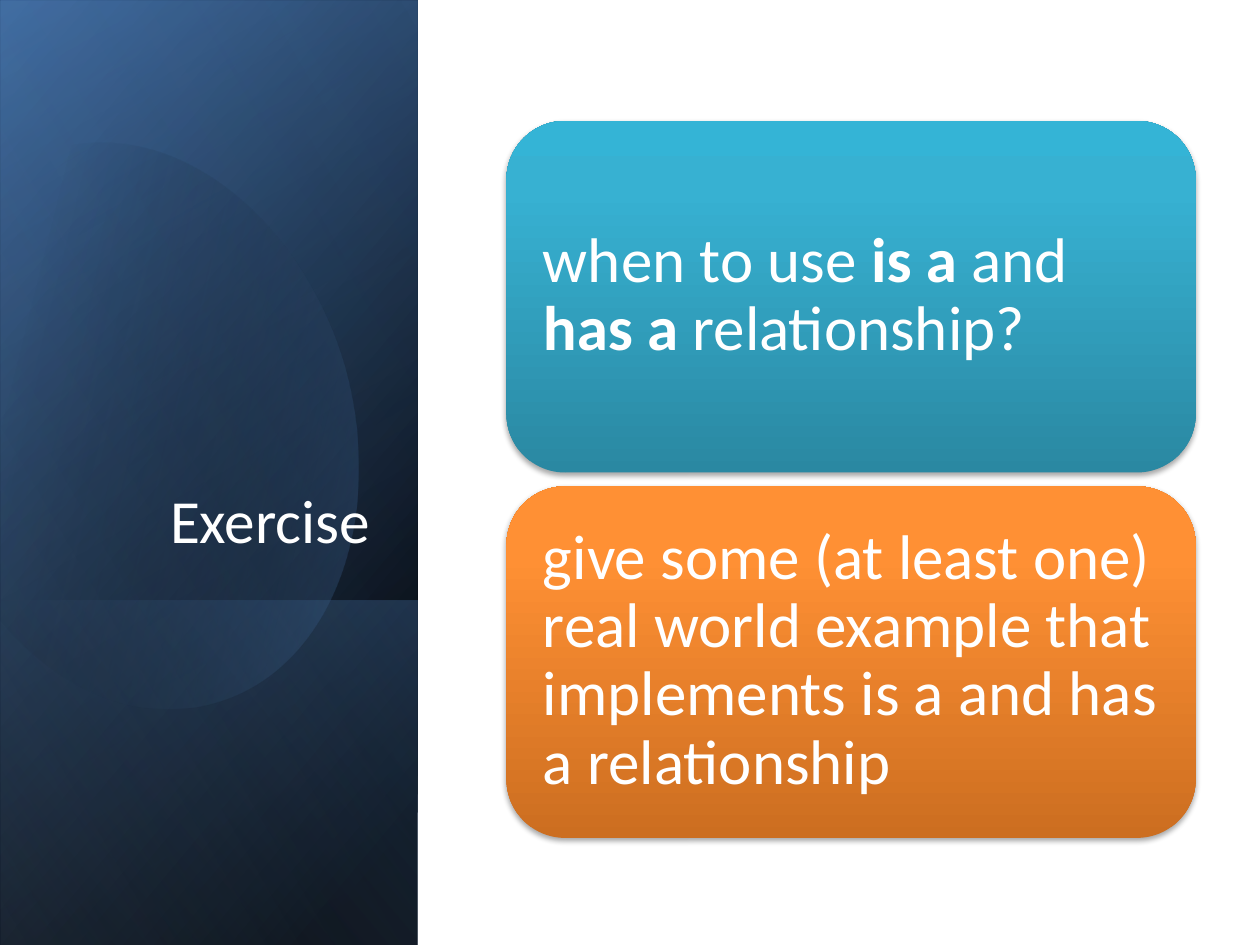
import math

import lxml.etree as etree
import pptx
import pptx.dml.color
import pptx.enum.shapes
import pptx.enum.text
import pptx.oxml.ns
import pptx.util

Inches = pptx.util.Inches
MSO_SHAPE = pptx.enum.shapes.MSO_SHAPE
ANCHOR = pptx.enum.text.MSO_ANCHOR
qn = pptx.oxml.ns.qn


def set_gradient(sp, stops, angle):
    sp.shadow.inherit = False
    sp.line.fill.background()
    sp.fill.gradient()
    grad = sp._element.spPr.find(qn("a:gradFill"))
    grad.clear()
    grad.set("rotWithShape", "1")
    gs_list = etree.SubElement(grad, qn("a:gsLst"))
    for pos, color, opacity in stops:
        gs = etree.SubElement(gs_list, qn("a:gs"), pos=str(pos * 1000))
        clr = etree.SubElement(gs, qn("a:srgbClr"), val=color)
        if opacity < 100:
            etree.SubElement(clr, qn("a:alpha"), val=str(opacity * 1000))
    etree.SubElement(grad, qn("a:lin"), ang=str(angle * 60000), scaled="0")


def add_text(p, text, size=36, bold=False, color="FFFFFF", font="Calibri"):
    r = p.add_run()
    r.text = text
    r.font.size = pptx.util.Pt(size)
    r.font.bold = bold
    r.font.name = font
    r.font.color.rgb = pptx.dml.color.RGBColor.from_string(color)


prs = pptx.Presentation()
prs.slide_width, prs.slide_height = Inches(10), Inches(7.5)
s = prs.slides.add_slide(prs.slide_layouts[5])

full = (-2.09, 2.1, 7.5, 3.31)
panels = [
    (full, [(8, "000000", 100), (100, "376092", 100)], 50),
    (full, [(0, "000000", 0), (99, "4F81BD", 46)], 30),
    ((0.29, 4.48, 2.74, 3.31), [(2, "4F81BD", 29), (100, "000000", 30)], 130),
    "oval",
    (full, [(0, "000000", 0), (99, "95B3D7", 11)], 120),
]
left, top, width, height = oval_box = (-0.41, 1.06, 3.2, 4.57)
oval_rotation = 343.9
oval_outline = [
    [(0.96, 1.14)],
    [(1.71, 1.22), (2.44, 1.92), (2.73, 2.9)],
    [(3.07, 4.12), (2.62, 5.31), (1.71, 5.57)],
    [(1.14, 5.74), (0.53, 5.5), (0.07, 5)],
    [(-0.03, 4.88)],
    [(-0.25, 1.66)],
    [(-0.15, 1.54)],
    [(0.02, 1.37), (0.22, 1.25), (0.45, 1.18)],
    [(0.62, 1.13), (0.79, 1.12), (0.96, 1.14)],
]
cos, sin = (f(math.radians(-oval_rotation)) for f in (math.cos, math.sin))
for panel in panels:
    if panel == "oval":
        outline = []
        for segment in oval_outline:
            offsets = [(x - left - width / 2, y - top - height / 2) for x, y in segment]
            outline.append([(Inches(dx * cos - dy * sin + width / 2),
                             Inches(dx * sin + dy * cos + height / 2)) for dx, dy in offsets])
        builder = s.shapes.build_freeform(*outline[0][0])
        builder.add_line_segments([segment[-1] for segment in outline[1:]], close=True)
        sp = builder.convert_to_shape()
        sp.left, sp.top, sp.width, sp.height = map(Inches, oval_box)
        sp.rotation = oval_rotation
        track = next(sp._element.iter(qn("a:pathLst")))[0]
        track.set("w", str(Inches(width)))
        track.set("h", str(Inches(height)))
        for node, segment in zip(list(track), outline):
            if len(segment) == 3:
                node.tag = qn("a:cubicBezTo")
            node[:] = []
            for x, y in segment:
                etree.SubElement(node, qn("a:pt"), x=str(x), y=str(y))
        set_gradient(sp, [(29, "000000", 0), (100, "4F81BD", 43)], 30)
    else:
        box, stops, angle = panel
        sp = s.shapes.add_shape(MSO_SHAPE.RECTANGLE, *map(Inches, box))
        sp.rotation = 90
        sp._element.spPr.find(qn("a:xfrm")).set("flipH", "1")
        set_gradient(sp, stops, angle)

title = s.shapes.title
s.shapes._spTree.append(title._element)
title.left, title.top, title.width, title.height = map(Inches, (0.48, 1.84, 2.56, 2.62))
tf = title.text_frame
tf.word_wrap = True
tf.auto_size = pptx.enum.text.MSO_AUTO_SIZE.NONE
tf.vertical_anchor = ANCHOR.BOTTOM
p = tf.paragraphs[0]
p.alignment = pptx.enum.text.PP_ALIGN.RIGHT
add_text(p, "Exercise", size=35)

cards = [
    (("2A88A2", "37B1D2", "34B4D6"),
     [("when to use ", False), ("is a ", True), ("and ", False),
      ("has a ", True), ("relationship?", False)]),
    (("CC6E20", "FF9034", "FF9136"),
     [("give some (at least one) real world example that "
       "implements is a and has a relationship", False)]),
]
group = s.shapes.add_group_shape()
for i, (colors, runs) in enumerate(cards):
    card_top = 0.96 + 2.9 * i
    sp = group.shapes.add_shape(MSO_SHAPE.ROUNDED_RECTANGLE, Inches(4.02),
                                Inches(card_top), Inches(5.47), Inches(2.79))
    set_gradient(sp, [(pos, c, 100) for pos, c in zip((0, 80, 100), colors)], 270)
    shadow = etree.SubElement(sp._element.spPr.find(qn("a:effectLst")), qn("a:outerShdw"),
                              blurRad="40000", dist="23000", dir="5400000", rotWithShape="0")
    clr = etree.SubElement(shadow, qn("a:srgbClr"), val="000000")
    etree.SubElement(clr, qn("a:alpha"), val="35000")
    tb = group.shapes.add_textbox(Inches(4.16), Inches(card_top + 0.13),
                                  Inches(5.2), Inches(2.52))
    tf = tb.text_frame
    tf.word_wrap = True
    tf.vertical_anchor = ANCHOR.MIDDLE
    tf.margin_left = tf.margin_right = tf.margin_top = tf.margin_bottom = Inches(0.15)
    p = tf.paragraphs[0]
    p.line_spacing = 0.9
    for text, bold in runs:
        add_text(p, text, bold=bold)

prs.save("out.pptx")
